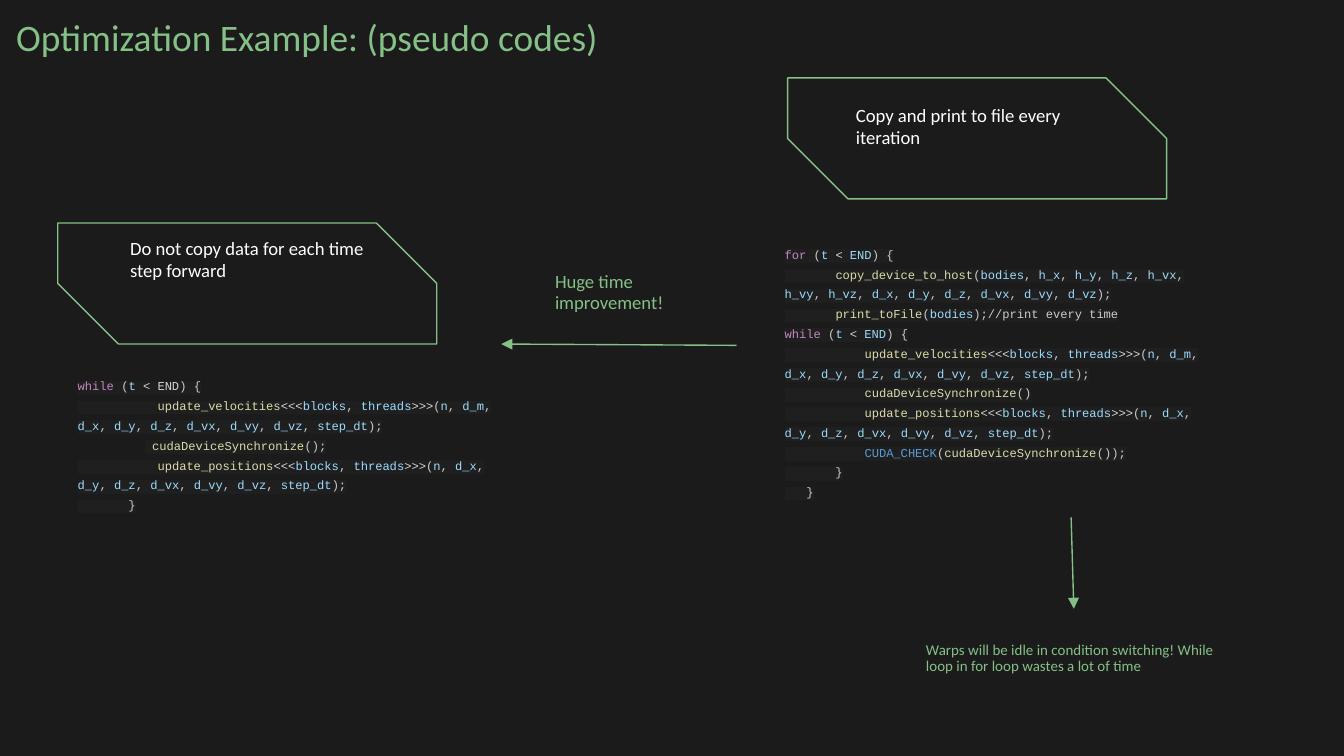
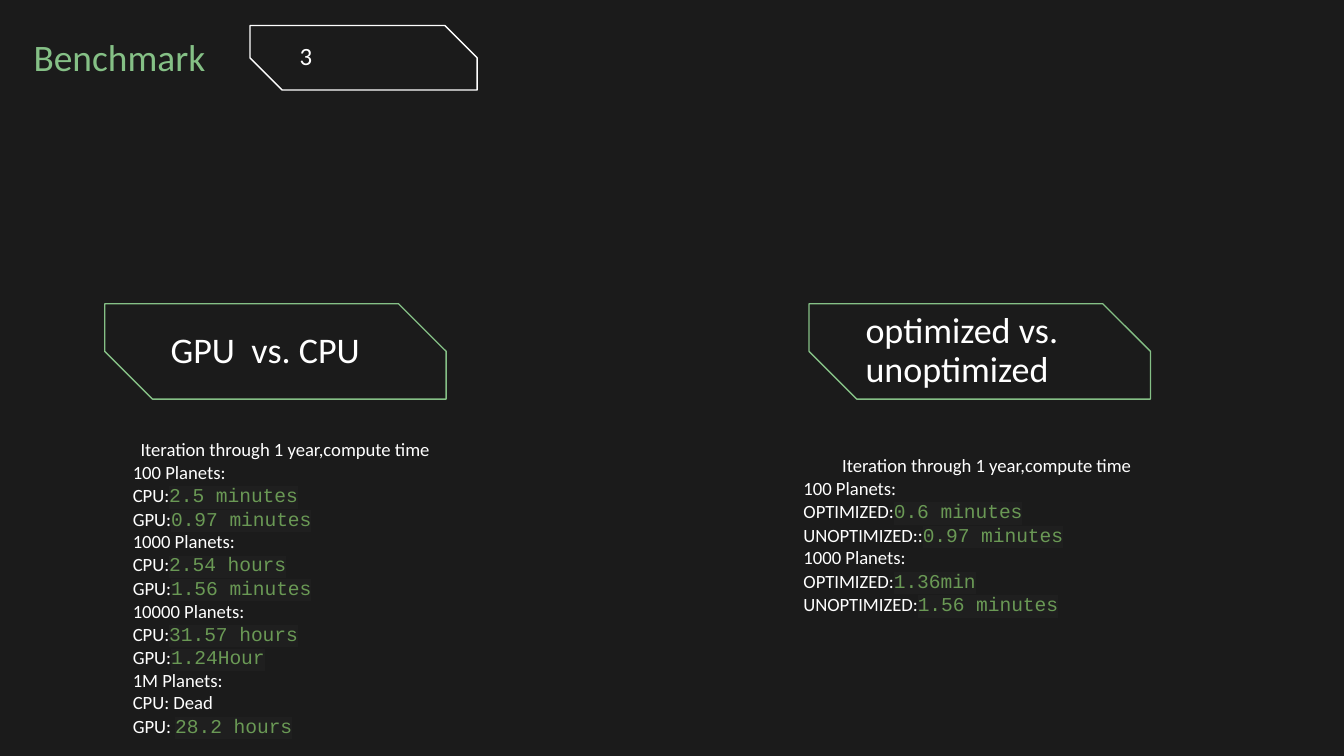
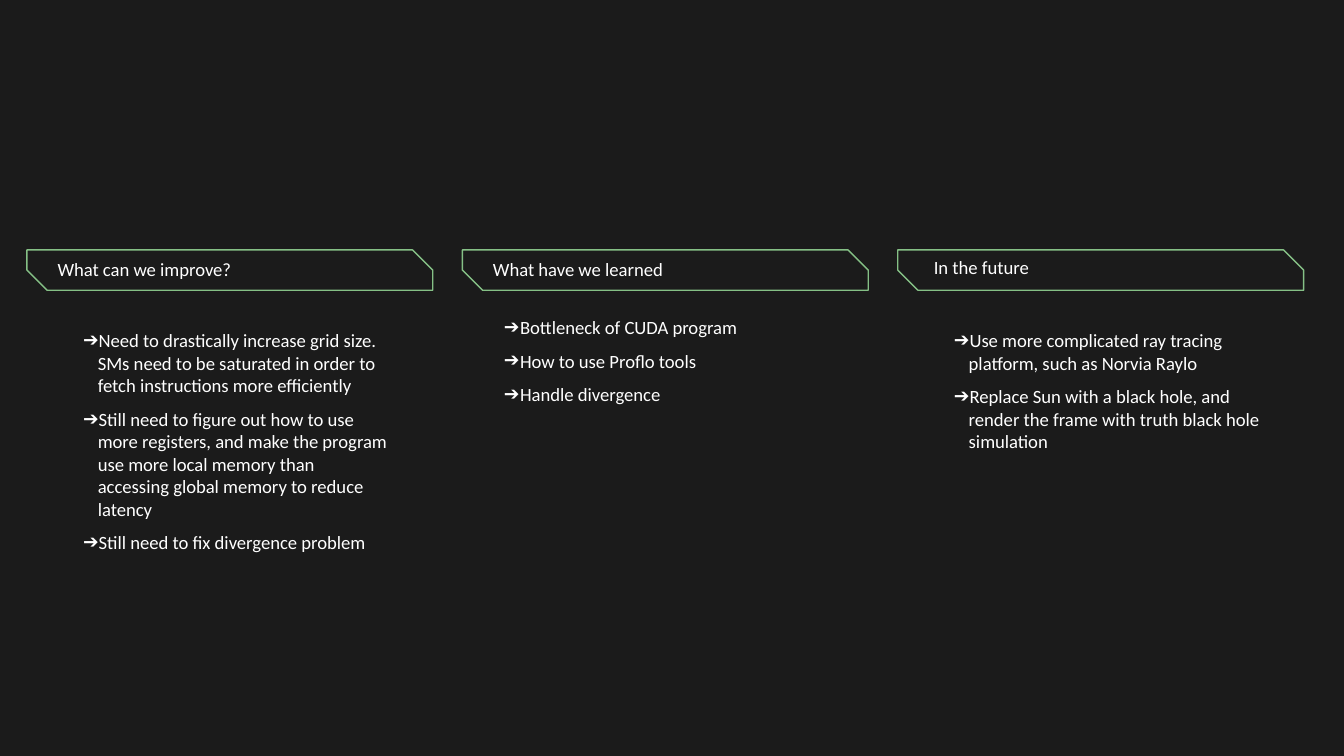
from itertools import groupby

from lxml import etree
from pptx import Presentation
from pptx.dml.color import RGBColor
from pptx.enum.shapes import MSO_CONNECTOR, MSO_SHAPE
from pptx.enum.text import MSO_ANCHOR, PP_ALIGN
from pptx.oxml.ns import qn
from pptx.util import Inches, Pt

SNIPPED = MSO_SHAPE.SNIP_2_DIAG_RECTANGLE
STRAIGHT = MSO_CONNECTOR.STRAIGHT
TOP, MIDDLE = MSO_ANCHOR.TOP, MSO_ANCHOR.MIDDLE
LEFT, CENTER = PP_ALIGN.LEFT, PP_ALIGN.CENTER

DARK, GREEN, WHITE = "1B1B1B", "85C086", "FFFFFF"
CODE_BACK, PLAIN, OPERATOR, VARIABLE = "1F1F1F", "CCCCCC", "D4D4D4", "9CDCFE"
KEYWORD, FUNCTION, MACRO, VALUE = "C586C0", "DCDCAA", "569CD6", "6A9955"
SANS, MONO = "Calibri", "Courier New"
TITLE_INSETS = (0, 0.1, 0.1, 0.1)
EVEN_INSETS = (0.1,) * 4

WORD_COLORS = {
    "for": KEYWORD,
    "while": KEYWORD,
    "update_velocities": FUNCTION,
    "update_positions": FUNCTION,
    "copy_device_to_host": FUNCTION,
    "print_toFile": FUNCTION,
    "cudaDeviceSynchronize": FUNCTION,
    "CUDA_CHECK": MACRO,
}

VELOCITIES = ("           update_velocities<<<blocks, threads>>>"
              "(n, d_m, d_x, d_y, d_z, d_vx, d_vy, d_vz, step_dt);")
POSITIONS = ("           update_positions<<<blocks, threads>>>"
             "(n, d_x, d_y, d_z, d_vx, d_vy, d_vz, step_dt);")

FAST_CODE = [
    "while (t < END) {",
    VELOCITIES,
    " cudaDeviceSynchronize();",
    POSITIONS,
    "       }",
]
SLOW_CODE = [
    "for (t < END) {",
    "       copy_device_to_host(bodies, h_x, h_y, h_z, h_vx, h_vy, h_vz, "
    "d_x, d_y, d_z, d_vx, d_vy, d_vz);",
    "       print_toFile(bodies);//print every time",
    "while (t < END) {",
    VELOCITIES,
    "           cudaDeviceSynchronize()",
    POSITIONS,
    "           CUDA_CHECK(cudaDeviceSynchronize());",
    "       }",
    "   }",
]

CLAIMS = [
    ("Do not copy data for each time step forward", (0.43, 1.66), (0.87, 1.66)),
    ("Copy and print to file every iteration", (5.86, 0.58), (6.27, 0.67)),
]
ARROWS = [((5.48, 2.57), (3.73, 2.56)), ((7.97, 3.85), (7.99, 4.53))]

TIMING_HEAD = "Iteration through 1 year,compute time"
COMPARISONS = [
    {
        "name": "GPU  vs. CPU", "frame_left": 0.78, "name_left": 1.13,
        "body": (0.59, 3.16, 3.06, 0.99), "indent": 0.3,
        "rows": [
            ("100 Planets:", ""), ("CPU:", "2.5 minutes"), ("GPU:", "0.97 minutes"),
            ("1000 Planets:", ""), ("CPU:", "2.54 hours"), ("GPU:", "1.56 minutes"),
            ("10000 Planets:", ""), ("CPU:", "31.57 hours"), ("GPU:", "1.24Hour"),
            ("1M Planets:", ""), ("CPU: Dead", ""), ("GPU: ", "28.2 hours"),
        ],
    },
    {
        "name": "optimized vs. unoptimized", "frame_left": 6.02, "name_left": 6.3,
        "body": (5.88, 3.28, 2.92, 0.91), "indent": 0,
        "rows": [
            ("100 Planets:", ""), ("OPTIMIZED:", "0.6 minutes"),
            ("UNOPTIMIZED::", "0.97 minutes"),
            ("1000 Planets:", ""), ("OPTIMIZED:", "1.36min"),
            ("UNOPTIMIZED:", "1.56 minutes"),
        ],
    },
]

COLUMNS = [
    {
        "head": "What can we improve?", "head_at": (0.33, 1.86), "anchor": MIDDLE,
        "body_left": 0.33, "insets": EVEN_INSETS, "hang": 0.11,
        "points": [
            "Need to drastically increase grid size. SMs need to be saturated "
            "in order to fetch instructions more efficiently",
            "Still need to figure out how to use more registers, and make the "
            "program use more local memory than accessing global memory to "
            "reduce latency",
            "Still need to fix divergence problem",
        ],
    },
    {
        "head": "What have we learned", "head_at": (3.57, 1.86), "anchor": MIDDLE,
        "body_left": 3.57, "insets": (0, 0, 0.1, 0.1), "hang": 0.12,
        "points": [
            "Bottleneck of CUDA program",
            "How to use Proflo tools",
            "Handle divergence",
        ],
    },
    {
        "head": "In the future", "head_at": (6.85, 1.82), "anchor": TOP,
        "body_left": 6.81, "insets": EVEN_INSETS, "hang": 0.11,
        "points": [
            "Use more complicated ray tracing platform, such as Norvia Raylo",
            "Replace Sun with a black hole, and render the frame with truth "
            "black hole simulation",
        ],
    },
]


def rgb(color):
    return RGBColor.from_string(color)


def add_page(deck):
    page = deck.slides.add_slide(deck.slide_layouts[6])
    page.background.fill.solid()
    page.background.fill.fore_color.rgb = rgb(DARK)
    return page


def add_box(page, at, insets=EVEN_INSETS, anchor=TOP):
    box = page.shapes.add_textbox(*map(Inches, at))
    frame = box.text_frame
    frame.word_wrap = True
    frame.vertical_anchor = anchor
    (frame.margin_left, frame.margin_top,
     frame.margin_right, frame.margin_bottom) = map(Inches, insets)
    return frame


def add_para(frame, spacing=1.0, align=LEFT, indent=0, first=0):
    para = frame.paragraphs[0]
    if para.runs:
        para = frame.add_paragraph()
    para.line_spacing = spacing
    para.alignment = align
    props = para._p.get_or_add_pPr()
    props.set("marL", str(Inches(indent)))
    props.set("indent", str(Inches(first)))
    return para


def add_span(para, text, size=10, color=WHITE, font=SANS, highlight=None):
    span = para.add_run()
    span.text = text
    span.font.size = Pt(size)
    span.font.name = font
    span.font.color.rgb = rgb(color)
    if highlight:
        mark = etree.Element(qn("a:highlight"))
        etree.SubElement(mark, qn("a:srgbClr"), val=highlight)
        span._r.rPr.find(qn("a:solidFill")).addnext(mark)


def add_text(page, at, text, size=10, color=WHITE, spacing=1.0,
             insets=EVEN_INSETS, anchor=TOP):
    frame = add_box(page, at, insets, anchor)
    add_span(add_para(frame, spacing), text, size, color)


def add_title(page, at, text, size=20):
    add_text(page, at, text, size, GREEN, 0.9, TITLE_INSETS)


def add_frame(page, at, color=GREEN, filled=True):
    frame = page.shapes.add_shape(SNIPPED, *map(Inches, at))
    frame.shadow.inherit = False
    frame.adjustments[0] = 0
    frame.adjustments[1] = 0.5
    if filled:
        frame.fill.solid()
        frame.fill.fore_color.rgb = rgb(DARK)
    else:
        frame.fill.background()
    frame.line.color.rgb = rgb(color)
    frame.line.width = Pt(0.75)


def add_arrow(page, start, end):
    arrow = page.shapes.add_connector(STRAIGHT, *map(Inches, start + end))
    arrow.line.color.rgb = rgb(GREEN)
    arrow.line.width = Pt(0.75)
    etree.SubElement(arrow.line._get_or_add_ln(), qn("a:tailEnd"), type="triangle")
    etree.SubElement(arrow._element.spPr, qn("a:effectLst"))


def token_kind(char):
    if char.isalnum() or char == "_":
        return "word"
    return "operator" if char in "<>" else "plain"


def color_code(line, word_colors):
    code, slashes, comment = line.partition("//")
    for kind, chars in groupby(code, token_kind):
        token = "".join(chars)
        if kind == "word":
            yield token, word_colors.get(token, VARIABLE)
        else:
            yield token, OPERATOR if kind == "operator" else PLAIN
    if comment:
        yield slashes + comment, PLAIN


def add_code(page, at, lines, word_colors, indents):
    frame = add_box(page, at)
    for number, line in enumerate(lines):
        para = add_para(frame, 1.36, first=indents.get(number, 0))
        for token, color in color_code(line, word_colors):
            add_span(para, token, 6.5, color, MONO, CODE_BACK)


def add_bullet(para):
    props = para._p.get_or_add_pPr()
    color = etree.SubElement(props, qn("a:buClr"))
    etree.SubElement(color, qn("a:srgbClr"), val=WHITE)
    etree.SubElement(props, qn("a:buFont"), typeface=SANS)
    etree.SubElement(props, qn("a:buChar"), char="➔")


def build_optimization(deck):
    page = add_page(deck)
    add_title(page, (0.12, 0.04, 7.09, 0.5), "Optimization Example: (pseudo codes)")
    add_code(page, (0.48, 2.68, 3.28, 1.2), FAST_CODE,
             {**WORD_COLORS, "END": OPERATOR}, {2: 0.5})
    add_code(page, (5.74, 1.7, 3.48, 2.09), SLOW_CODE, WORD_COLORS, {})
    for text, frame_at, text_at in CLAIMS:
        add_frame(page, (*frame_at, 2.82, 0.9))
        add_text(page, (*text_at, 2.06, 0.71), text)
    for start, end in ARROWS:
        add_arrow(page, start, end)
    add_title(page, (4.13, 1.93, 0.96, 0.5), "Huge time improvement!", 10)
    add_title(page, (6.89, 4.68, 2.33, 0.44),
              "Warps will be idle in condition switching! "
              "While loop in for loop wastes a lot of time", 8)


def build_benchmark(deck):
    page = add_page(deck)
    add_title(page, (0.25, 0.19, 7.09, 0.5), "Benchmark")
    add_frame(page, (1.86, 0.19, 1.69, 0.48), WHITE)
    add_text(page, (2.1, 0.19, 1.28, 0.48), "3", 13.3, insets=(0.13,) * 4)
    for part in COMPARISONS:
        add_frame(page, (part["frame_left"], 2.26, 2.54, 0.71), filled=False)
        add_text(page, (part["name_left"], 2.45, 1.97, 0.33), part["name"], 19.3,
                 spacing=0.9, insets=(0.14,) * 4, anchor=MIDDLE)
        body = add_box(page, part["body"])
        add_span(add_para(body, align=CENTER), TIMING_HEAD)
        for label, value in part["rows"]:
            para = add_para(body, indent=part["indent"])
            add_span(para, label)
            if value:
                add_span(para, value, 10.5, VALUE, MONO, CODE_BACK)


def build_lessons(deck):
    page = add_page(deck)
    for number, column in enumerate(COLUMNS):
        add_frame(page, (0.2 + 3.24 * number, 1.86, 3.02, 0.3))
        add_text(page, (*column["head_at"], 2.67, 0.29), column["head"],
                 anchor=column["anchor"])
        body = add_box(page, (column["body_left"], 2.35, 2.66, 0.86), column["insets"])
        for place, point in enumerate(column["points"]):
            para = add_para(body, indent=0.3, first=-column["hang"])
            if place:
                para.space_before = Pt(6)
            add_bullet(para)
            add_span(para, point)


def main():
    deck = Presentation()
    deck.slide_width = Inches(10)
    deck.slide_height = deck.slide_width * 9 // 16
    build_optimization(deck)
    build_benchmark(deck)
    build_lessons(deck)
    deck.save("out.pptx")


if __name__ == "__main__":
    main()
